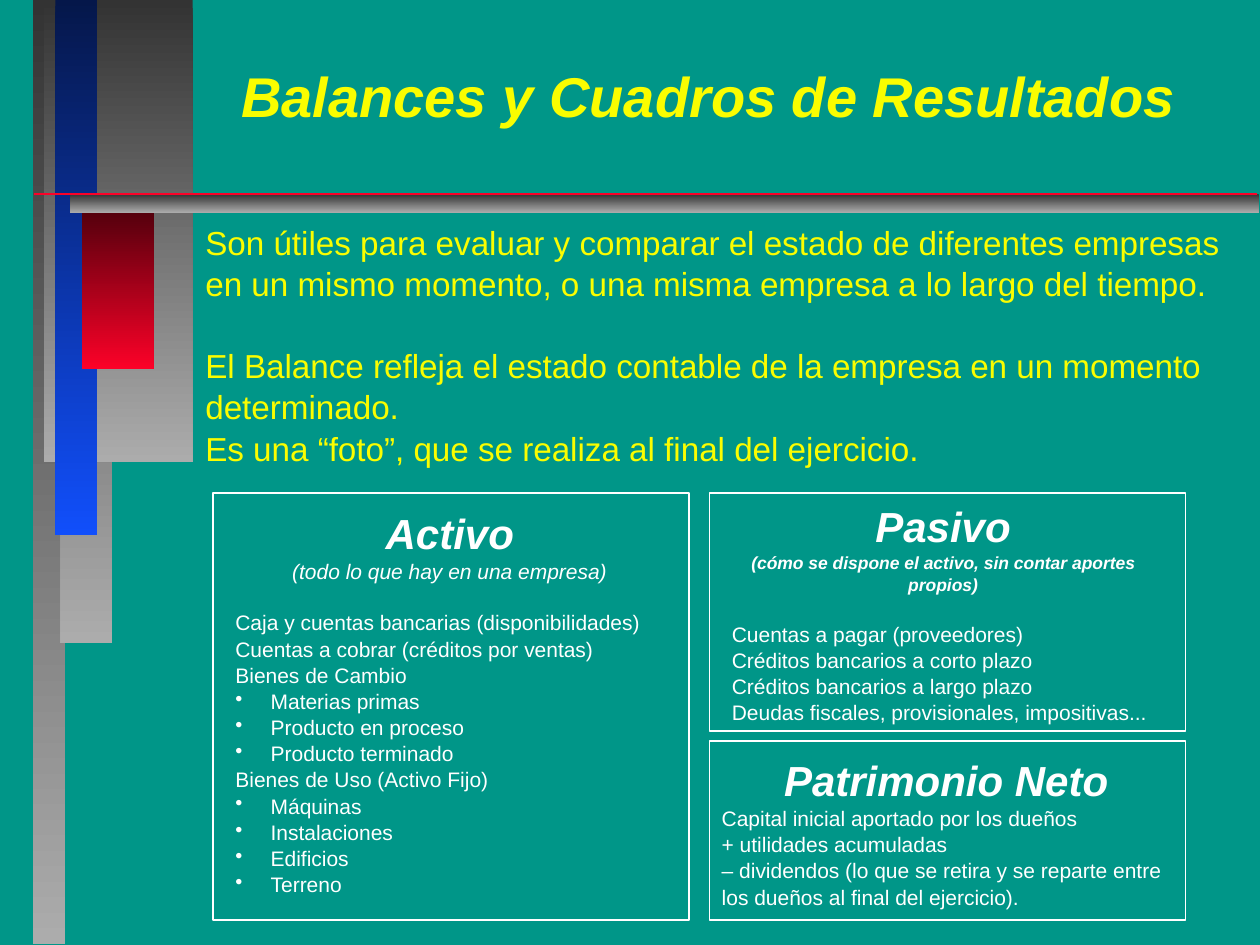
from pptx import Presentation
from pptx.dml.color import RGBColor
from pptx.enum.shapes import MSO_CONNECTOR, MSO_SHAPE
from pptx.enum.text import MSO_ANCHOR, MSO_AUTO_SIZE, PP_ALIGN
from pptx.oxml.ns import qn
from pptx.util import Inches, Pt

RECT, LINE = MSO_SHAPE.RECTANGLE, MSO_CONNECTOR.STRAIGHT
TOP, BOTTOM = MSO_ANCHOR.TOP, MSO_ANCHOR.BOTTOM
LEFT, CENTER = PP_ALIGN.LEFT, PP_ALIGN.CENTER
FIXED = MSO_AUTO_SIZE.NONE

TEAL = RGBColor(0x00, 0x96, 0x88)
YELLOW = RGBColor(0xFA, 0xFD, 0x00)
WHITE = RGBColor(0xFF, 0xFF, 0xFF)
RED = RGBColor(0xFC, 0x01, 0x28)
GRAY = (RGBColor(0x33, 0x33, 0x33), RGBColor(0xAC, 0xAC, 0xAC))
BLUES = (RGBColor(0x05, 0x17, 0x4A), RGBColor(0x11, 0x4F, 0xFB))
REDS = (RGBColor(0x4A, 0x00, 0x0B), RED)

# Square grid: 100 columns by 75 rows
WIDE, HIGH = Inches(10), Inches(7.5)
UNIT = WIDE / 100
BARS = [
    ((2.6, 0, 2.6, 74.9), GRAY),
    ((4.8, 0, 4.1, 51), GRAY),
    ((3.5, 0, 11.8, 36.7), GRAY),
    ((4.4, 0, 3.3, 42.5), BLUES),
    ((6.5, 16, 5.7, 13.3), REDS),
    ((5.6, 15.4, 94.3, 1.5), GRAY),
]

INTRO = [
    "Son útiles para evaluar y comparar el estado de diferentes empresas "
    "en un mismo momento, o una misma empresa a lo largo del tiempo.",
    "El Balance refleja el estado contable de la empresa en un momento "
    "determinado.",
    "Es una “foto”, que se realiza al final del ejercicio.",
]
ASSETS = [
    "Caja y cuentas bancarias (disponibilidades)",
    "Cuentas a cobrar (créditos por ventas)",
    "Bienes de Cambio",
    "• Materias primas",
    "• Producto en proceso",
    "• Producto terminado",
    "Bienes de Uso (Activo Fijo)",
    "• Máquinas",
    "• Instalaciones",
    "• Edificios",
    "• Terreno",
]
DEBTS = [
    "Cuentas a pagar (proveedores)",
    "Créditos bancarios a corto plazo",
    "Créditos bancarios a largo plazo",
    "Deudas fiscales, provisionales, impositivas...",
]
EQUITY = [
    "Capital inicial aportado por los dueños",
    "+ utilidades acumuladas",
    "– dividendos (lo que se retira y se reparte entre "
    "los dueños al final del ejercicio).",
]


def grid(*cells):
    return [round(c * UNIT) for c in cells]


def place(shape, box):
    shape.left, shape.top, shape.width, shape.height = grid(*box)


def set_up(frame, anchor=TOP):
    frame.word_wrap = True
    frame.auto_size = FIXED
    frame.vertical_anchor = anchor
    frame.margin_left = frame.margin_right = Inches(0.1)
    frame.margin_top = frame.margin_bottom = Inches(0.05)


def write(frame, text, size, color, bold=False, italic=False,
          align=LEFT, gap=0):
    """Add one paragraph; a leading bullet sign makes it a list item."""
    para = frame.paragraphs[0]
    if para.runs:
        para = frame.add_paragraph()
    item = text.startswith("• ")
    para.text = text.removeprefix("• ")
    para.alignment = align
    para.line_spacing = 1.04
    para.space_before, para.space_after = Pt(gap), Pt(0)
    font = para.font
    font.name, font.size, font.color.rgb = "Arial", Pt(size), color
    font.bold, font.italic = bold, italic
    props = para._p.get_or_add_pPr()
    indent = Inches(0.28) if item else 0
    props.set("marL", str(indent))
    props.set("indent", str(-indent))
    mark = props.makeelement(qn("a:buChar" if item else "a:buNone"),
                             {"char": "•"} if item else {})
    props.find(qn("a:defRPr")).addprevious(mark)


def add_bars(slide):
    for box, (start, end) in BARS:
        bar = slide.shapes.add_shape(RECT, *grid(*box))
        bar.shadow.inherit = False
        bar.line.fill.background()
        bar.fill.gradient()
        bar.fill.gradient_angle = 270
        for stop, color in zip(bar.fill.gradient_stops, (start, end)):
            stop.color.rgb = color
    rule = slide.shapes.add_connector(LINE, *grid(2.7, 15.4, 99.8, 15.4))
    rule.line.color.rgb, rule.line.width = RED, Pt(1)
    props = rule._element.spPr
    props.append(props.makeelement(qn("a:effectLst"), {}))


def add_head(slide, box):
    title = slide.shapes.title
    place(title, box)
    set_up(title.text_frame, BOTTOM)
    write(title.text_frame, "Balances y Cuadros de Resultados", 32, YELLOW,
          True, True, CENTER)


def add_intro(slide, box):
    body = slide.placeholders[1]
    place(body, box)
    set_up(body.text_frame)
    for text, gap in zip(INTRO, (0, 22.8, 0)):
        write(body.text_frame, text, 19, YELLOW, gap=gap)


def add_panel(slide, box, inset, head, lines, note="", size=12, bold=False):
    """Outlined box; inset is the left, top and right gap to its text."""
    left, top, width, height = box
    edge = slide.shapes.add_shape(RECT, *grid(*box))
    edge.shadow.inherit = False
    edge.fill.background()
    edge.line.color.rgb, edge.line.width = WHITE, Pt(1)
    before, above, after = inset
    label = slide.shapes.add_textbox(*grid(
        left + before, top + above, width - before - after, height - above))
    frame = label.text_frame
    set_up(frame)
    write(frame, head, 24, WHITE, True, True, CENTER)
    if note:
        write(frame, note, size, WHITE, bold, True, CENTER)
    for i, text in enumerate(lines):
        write(frame, text, 12, WHITE, gap=14.4 if note and i == 0 else 0)


def main():
    deck = Presentation()
    deck.slide_width, deck.slide_height = WIDE, HIGH
    slide = deck.slides.add_slide(deck.slide_layouts[1])
    fill = slide.background.fill
    fill.solid()
    fill.fore_color.rgb = TEAL

    # Side bars and rule
    add_bars(slide)
    # Title and introduction
    add_head(slide, (16.1, 4.1, 80.3, 6.6))
    add_intro(slide, (15.3, 17, 83.5, 20))
    # Balance sheet panels
    add_panel(slide, (16.9, 39.1, 37.8, 33.9), (0.8, 0.5, 1), "Activo",
              ASSETS, "(todo lo que hay en una empresa)")
    add_panel(slide, (56.3, 39.1, 37.8, 18.9), (0.8, 0, 1.5), "Pasivo",
              DEBTS, "(cómo se dispone el activo, sin contar aportes propios)",
              10, True)
    add_panel(slide, (56.3, 58.8, 37.8, 14.2), (0, 0.4, 0.2),
              "Patrimonio Neto", EQUITY)
    deck.save("out.pptx")


if __name__ == "__main__":
    main()
